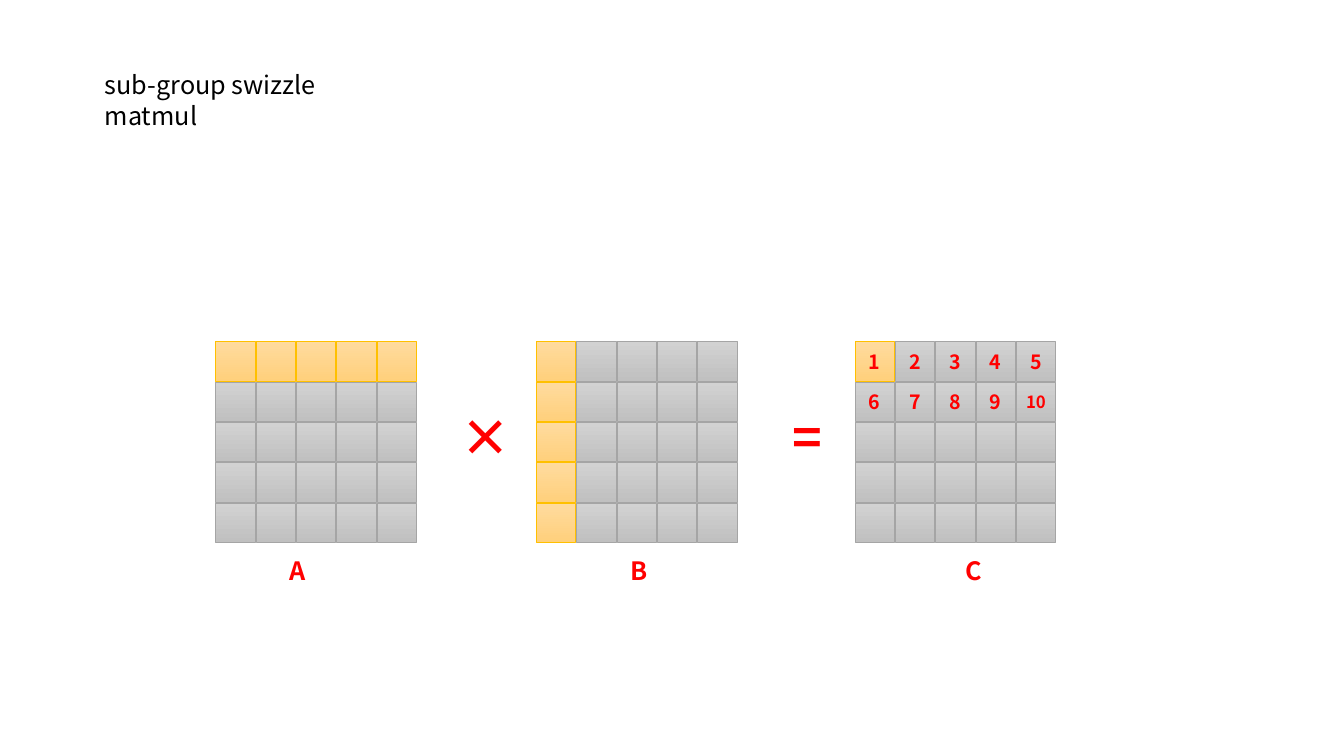
"""Build the sub-group swizzle matmul slide: A × B = C."""
from pptx import Presentation
from pptx.dml.color import RGBColor
from pptx.enum.shapes import MSO_SHAPE
from pptx.enum.text import MSO_ANCHOR, MSO_AUTO_SIZE, PP_ALIGN
from pptx.util import Inches, Pt

TITLE = "sub-group swizzle matmul"
FONT = "Noto Sans CJK SC"
RED, BLACK = "FF0000", "000000"
GREY = ("D2D2D2", "C0C0C0", "A5A5A5")
GOLD = ("FFDB9E", "FFD07C", "FFC000")

SIZE = 5
CELL, PITCH = 0.39, 0.4
GRID_TOP = 3.39
MATRICES = [
    {"left": 2.14, "gold": {(0, col) for col in range(SIZE)}, "count": 0},
    {"left": 5.32, "gold": {(row, 0) for row in range(SIZE)}, "count": 0},
    {"left": 8.48, "gold": {(0, 0)}, "count": 10},
]
SYMBOLS = [
    ("×", 4.47, 3.98, 0.55, 0.71, 36),
    ("=", 7.76, 3.98, 0.55, 0.71, 36),
    ("A", 2.77, 5.46, 0.37, 0.4, 18),
    ("B", 6.15, 5.46, 0.35, 0.4, 18),
    ("C", 9.48, 5.46, 0.36, 0.4, 18),
]


def rgb(value):
    return RGBColor.from_string(value)


def write(frame, text, size, color=RED, bold=True, align=PP_ALIGN.LEFT):
    frame.text = text
    frame.word_wrap = True
    paragraph = frame.paragraphs[0]
    paragraph.alignment = align
    font = paragraph.font
    font.name, font.size, font.bold = FONT, Pt(size), bold
    font.color.rgb = rgb(color)


def add_cell(slide, left, top, colors, number):
    cell = slide.shapes.add_shape(
        MSO_SHAPE.FLOWCHART_PROCESS,
        Inches(left), Inches(top), Inches(CELL), Inches(CELL))
    cell.shadow.inherit = False
    cell.fill.gradient()
    cell.fill.gradient_angle = 270
    for stop, color in zip(cell.fill.gradient_stops, colors):
        stop.color.rgb = rgb(color)
    cell.line.color.rgb = rgb(colors[2])
    cell.line.width = Pt(0.5)
    if number:
        frame = cell.text_frame
        frame.margin_left = frame.margin_right = 0
        frame.vertical_anchor = MSO_ANCHOR.MIDDLE
        write(frame, str(number), 14 if number < 10 else 12,
              align=PP_ALIGN.CENTER)


def add_matrix(slide, left, gold, count):
    for row in range(SIZE):
        for col in range(SIZE):
            index = row * SIZE + col + 1
            add_cell(slide, left + col * PITCH, GRID_TOP + row * PITCH,
                     GOLD if (row, col) in gold else GREY,
                     index if index <= count else None)


def main():
    deck = Presentation()
    deck.slide_width, deck.slide_height = Inches(13.33), Inches(7.5)
    slide = deck.slides.add_slide(deck.slide_layouts[5])

    title = slide.shapes.title
    title.left, title.top = Inches(0.94), Inches(0.64)
    title.width, title.height = Inches(3.09), Inches(0.4)
    title.text_frame.auto_size = MSO_AUTO_SIZE.NONE
    title.text_frame.vertical_anchor = MSO_ANCHOR.TOP
    write(title.text_frame, TITLE, 18, BLACK, bold=False)

    for matrix in MATRICES:
        add_matrix(slide, **matrix)
    for text, left, top, width, height, size in SYMBOLS:
        symbol = slide.shapes.add_textbox(
            Inches(left), Inches(top), Inches(width), Inches(height))
        write(symbol.text_frame, text, size)

    deck.save("out.pptx")


if __name__ == "__main__":
    main()
